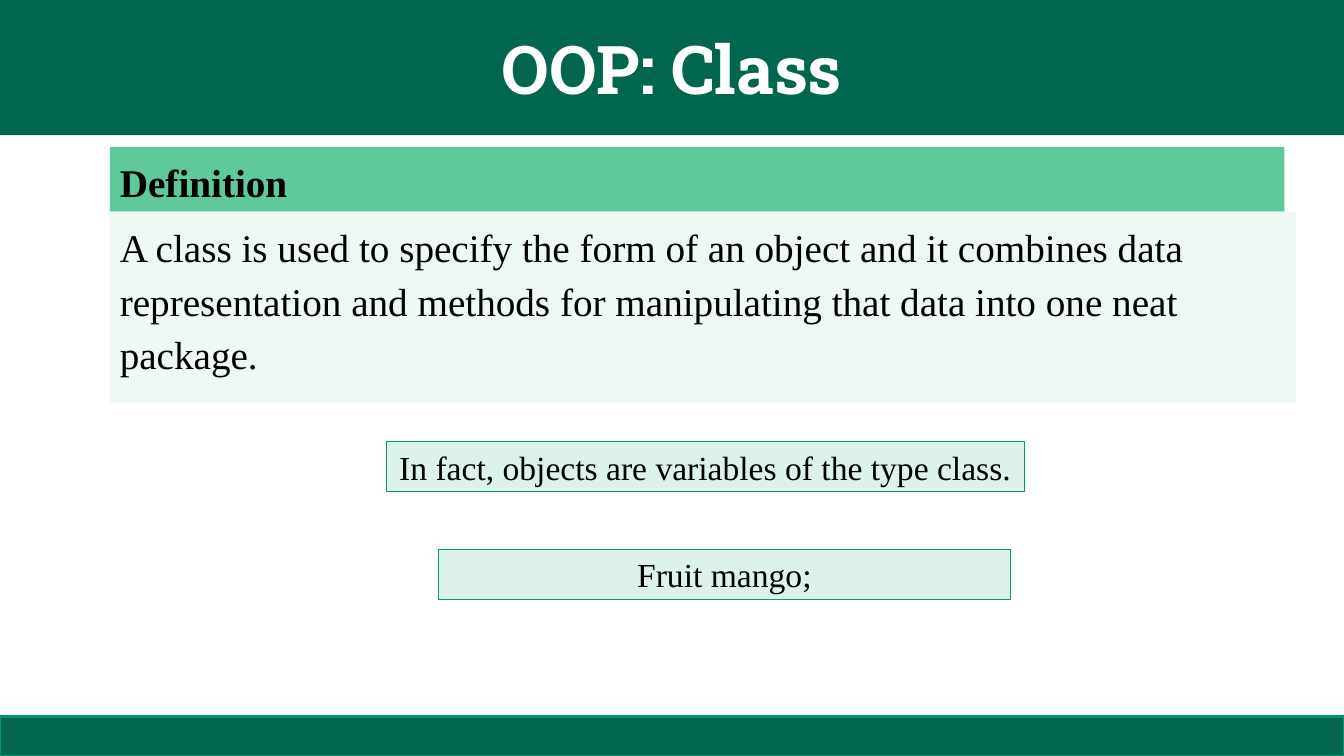
from dataclasses import dataclass

from pptx import Presentation
from pptx.dml.color import RGBColor
from pptx.enum.shapes import MSO_SHAPE
from pptx.enum.text import MSO_ANCHOR, PP_ALIGN
from pptx.util import Inches, Pt

WIDTH, HEIGHT = 13.33, 7.5


@dataclass(frozen=True)
class Theme:
    bar: str = "00664D"
    bar_edge: str = "009771"
    heading: str = "60C99C"
    body: str = "EEF9F4"
    note: str = "DDF3EA"
    note_edge: str = "009973"
    dark: str = "000000"
    light: str = "FFFFFF"
    title_font: str = "Roboto Slab"
    text_font: str = "Times New Roman"
    title_size: int = 48
    body_size: int = 28
    note_size: int = 24


THEME = Theme()


def add_panel(page, box, fill, edge=None, edge_width=0.75):
    """Add a filled rectangle; box is left, top, width, height in inches."""
    panel = page.shapes.add_shape(MSO_SHAPE.RECTANGLE, *map(Inches, box))
    panel.shadow.inherit = False
    panel.fill.solid()
    panel.fill.fore_color.rgb = RGBColor.from_string(fill)
    if edge:
        panel.line.color.rgb = RGBColor.from_string(edge)
        panel.line.width = Pt(edge_width)
    else:
        panel.line.fill.background()
    return panel


def write(panel, text, size, font=THEME.text_font, color=THEME.dark, bold=False,
          align=PP_ALIGN.LEFT, anchor=MSO_ANCHOR.TOP, spacing=1.0):
    frame = panel.text_frame
    frame.word_wrap = True
    frame.vertical_anchor = anchor
    para = frame.paragraphs[0]
    para.alignment = align
    para.line_spacing = spacing
    span = para.add_run()
    span.text = text
    span.font.name = font
    span.font.size = Pt(size)
    span.font.bold = bold
    span.font.color.rgb = RGBColor.from_string(color)


def add_title_bar(page, box, text):
    write(add_panel(page, box, THEME.bar), text, THEME.title_size,
          THEME.title_font, THEME.light, bold=True,
          align=PP_ALIGN.CENTER, anchor=MSO_ANCHOR.MIDDLE)


def add_footer_bar(page, box):
    add_panel(page, box, THEME.bar, THEME.bar_edge, 2)


def add_definition(page, box, heading, body):
    """Stack a heading strip on a slightly wider body panel."""
    left, top, width, height = box
    strip, overhang = 0.64, 0.11
    parts = [
        ((left, top, width - overhang, strip), THEME.heading, heading, True),
        ((left, top + strip, width, height - strip), THEME.body, body, False),
    ]
    for part_box, fill, text, bold in parts:
        write(add_panel(page, part_box, fill), text, THEME.body_size,
              bold=bold, spacing=1.14)


def add_note(page, box, text):
    write(add_panel(page, box, THEME.note, THEME.note_edge), text,
          THEME.note_size, align=PP_ALIGN.CENTER)


def build_class_slide(deck):
    page = deck.slides.add_slide(deck.slide_layouts[6])
    footer = 0.39
    add_title_bar(page, (0, 0, WIDTH, 1.34), "OOP: Class")
    add_footer_bar(page, (0, HEIGHT - footer, WIDTH, footer))
    add_definition(
        page, (1.09, 1.46, 11.76, 2.54), "Definition",
        "A class is used to specify the form of an object and it combines "
        "data representation and methods for manipulating that data into "
        "one neat package.")
    add_note(page, (3.83, 4.38, 6.33, 0.5),
             "In fact, objects are variables of the type class.")
    add_note(page, (4.35, 5.45, 5.67, 0.5), "Fruit mango;")


def main():
    deck = Presentation()
    deck.slide_width, deck.slide_height = Inches(WIDTH), Inches(HEIGHT)
    build_class_slide(deck)
    deck.save("out.pptx")


if __name__ == "__main__":
    main()
